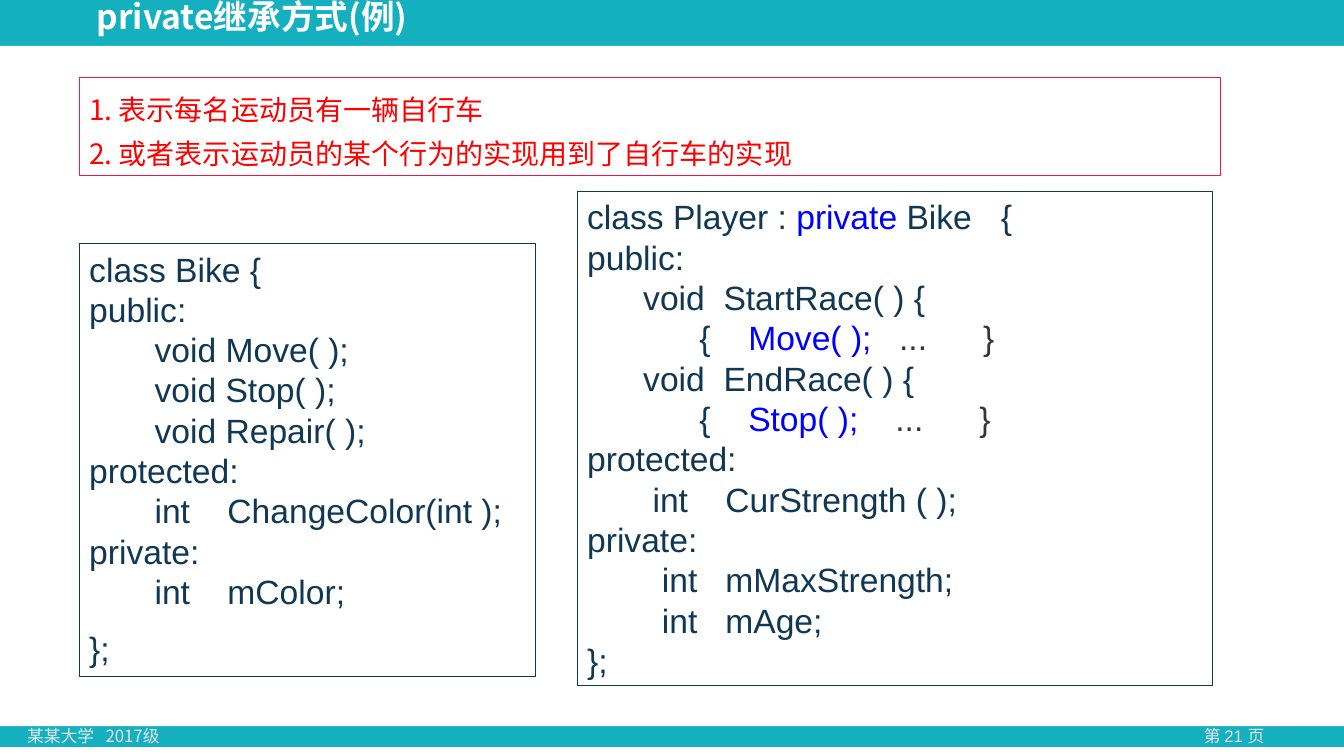
from dataclasses import dataclass

import pptx
import pptx.dml.color
import pptx.enum.shapes
import pptx.enum.text
import pptx.oxml.ns
import pptx.util
from lxml import etree

WIDTH, HEIGHT = pptx.util.Inches(13.33), pptx.util.Inches(7.5)
COLORS = {"teal": "14B0C0", "white": "FFFFFF", "navy": "103754", "blue": "0000FF",
          "gray": "343537", "red": "FF0000", "crimson": "E61A4B", "pale": "E7E6E6"}
SANS, CJK = "Arial", "Noto Sans CJK SC"
SPACE = pptx.util.Pt(6.67)  # one space of 24 pt code, the unit of tab stops
CODE_PITCH = pptx.util.Pt(28.8)
ALIGN = pptx.enum.text.PP_ALIGN
ANCHOR = pptx.enum.text.MSO_ANCHOR


@dataclass(frozen=True)
class Area:
    """A rectangle in percent of the slide's width and height."""
    left: float
    top: float
    width: float
    height: float

    def emu(self) -> tuple[int, ...]:
        sides = ((self.left, WIDTH), (self.top, HEIGHT), (self.width, WIDTH), (self.height, HEIGHT))
        return tuple(round(share * full / 100) for share, full in sides)


@dataclass(frozen=True)
class Panel:
    area: Area
    color: str


@dataclass(frozen=True)
class Line:
    """Coloured pieces of one paragraph, with tab stops counted in spaces."""
    pieces: tuple[tuple[str, str], ...]
    stops: tuple[float, ...] = ()
    before: float = 0


@dataclass(frozen=True)
class Block:
    area: Area
    lines: tuple[Line, ...]
    size: float
    font: str = CJK
    bold: bool = False
    border: str | None = None
    spacing: float | int | None = None
    align: ALIGN = ALIGN.LEFT
    anchor: ANCHOR = ANCHOR.TOP


def rgb(name: str) -> pptx.dml.color.RGBColor:
    return pptx.dml.color.RGBColor.from_string(COLORS[name])


def navy(text: str, *stops: float, before: float = 0) -> Line:
    return Line(((text, "navy"),), stops, before)


def call(name: str, *stops: float) -> Line:
    return Line((("\t{\t", "navy"), (name, "blue"), ("\t...\t}", "gray")), stops)


def add_panel(s, panel: Panel) -> None:
    sp = s.shapes.add_shape(pptx.enum.shapes.MSO_SHAPE.RECTANGLE, *panel.area.emu())
    sp.shadow.inherit = False
    sp.fill.solid()
    sp.fill.fore_color.rgb = rgb(panel.color)
    sp.line.fill.background()


def add_tab_stops(p, stops: tuple[float, ...]) -> None:
    qn = pptx.oxml.ns.qn
    tabs = etree.SubElement(p._p.get_or_add_pPr(), qn("a:tabLst"))
    for stop in stops:
        etree.SubElement(tabs, qn("a:tab"), pos=str(round(stop * SPACE)), algn="l")


def add_run(p, text: str, color: str, block: Block) -> None:
    r = p.add_run()
    r.text = text
    for key, value in {"size": pptx.util.Pt(block.size), "name": block.font, "bold": block.bold}.items():
        setattr(r.font, key, value)
    r.font.color.rgb = rgb(color)
    etree.SubElement(r.font._element, pptx.oxml.ns.qn("a:ea"), typeface=CJK)


def add_block(s, block: Block) -> None:
    if block.border:
        sp = s.shapes.add_shape(pptx.enum.shapes.MSO_SHAPE.RECTANGLE, *block.area.emu())
        sp.shadow.inherit = False
        sp.fill.background()
        sp.line.color.rgb = rgb(block.border)
        sp.line.width = pptx.util.Pt(0.75)
    else:
        sp = s.shapes.add_textbox(*block.area.emu())
    tf = sp.text_frame
    tf.word_wrap = True
    tf.vertical_anchor = block.anchor
    for i, line in enumerate(block.lines):
        p = tf.add_paragraph() if i else tf.paragraphs[0]
        paragraph_format = {"alignment": block.align, "line_spacing": block.spacing,
                            "space_before": pptx.util.Pt(line.before)}
        for key, value in paragraph_format.items():
            setattr(p, key, value)
        if line.stops:
            add_tab_stops(p, line.stops)
        for text, color in line.pieces:
            add_run(p, text, color, block)


PANELS = (Panel(Area(0, -1.2, 100, 100), "teal"), Panel(Area(0, 6.05, 100, 90), "white"))

BIKE = (
    navy("class Bike {"),
    navy("public:"),
    *(navy(f"\tvoid {name}( );", 7) for name in ("Move", "Stop", "Repair")),
    navy("protected:"),
    navy("\tint\tChangeColor(int );", 7, 14.8),
    navy("private:"),
    navy("\tint\tmColor;", 7, 14.8),
    navy("};", before=12),
)

PLAYER = (
    Line((("class Player : ", "navy"), ("private", "blue"), (" Bike\t{", "navy")), (44.3,)),
    navy("public:"),
    navy("\tvoid\tStartRace( ) {", 6, 14.6),
    call("Move( );", 12, 17.25, 33.4, 42.4),
    navy("\tvoid\tEndRace( ) {", 6, 14.6),
    call("Stop( );", 12, 17.25, 33, 42),
    navy("protected:"),
    navy("\tint\tCurStrength ( );", 7, 14.8),
    navy("private:"),
    *(navy(f"\tint\t{name};", 8, 14.8) for name in ("mMaxStrength", "mAge")),
    navy("};"),
)

NOTES = tuple(Line(((text, "red"),)) for text in (
    "1. 表示每名运动员有一辆自行车",
    "2. 或者表示运动员的某个行为的实现用到了自行车的实现",
))

BLOCKS = (
    Block(Area(86.35, 95.4, 10.95, 4), (Line((("第 21 页", "pale"),)),), 12, SANS,
          align=ALIGN.CENTER),
    Block(Area(1.28, 95.4, 13.8, 4), (Line((("某某大学\t2017级", "pale"),), (8.4,)),), 12),
    Block(Area(6.45, -1.2, 76.37, 7.2), (Line((("private继承方式(例)", "white"),)),), 24,
          bold=True, spacing=0.9, anchor=ANCHOR.MIDDLE),
    Block(Area(5.9, 32.2, 33.98, 57.33), BIKE, 24, SANS, border="navy", spacing=CODE_PITCH),
    Block(Area(42.95, 25.3, 47.26, 65.33), PLAYER, 24, SANS, border="navy", spacing=CODE_PITCH),
    Block(Area(5.9, 10.27, 84.92, 12.93), NOTES, 20, border="crimson", spacing=1.3,
          anchor=ANCHOR.MIDDLE),
)


def main() -> None:
    prs = pptx.Presentation()
    prs.slide_width, prs.slide_height = WIDTH, HEIGHT
    s = prs.slides.add_slide(prs.slide_layouts[6])
    for panel in PANELS:
        add_panel(s, panel)
    for block in BLOCKS:
        add_block(s, block)
    prs.save("out.pptx")


if __name__ == "__main__":
    main()
